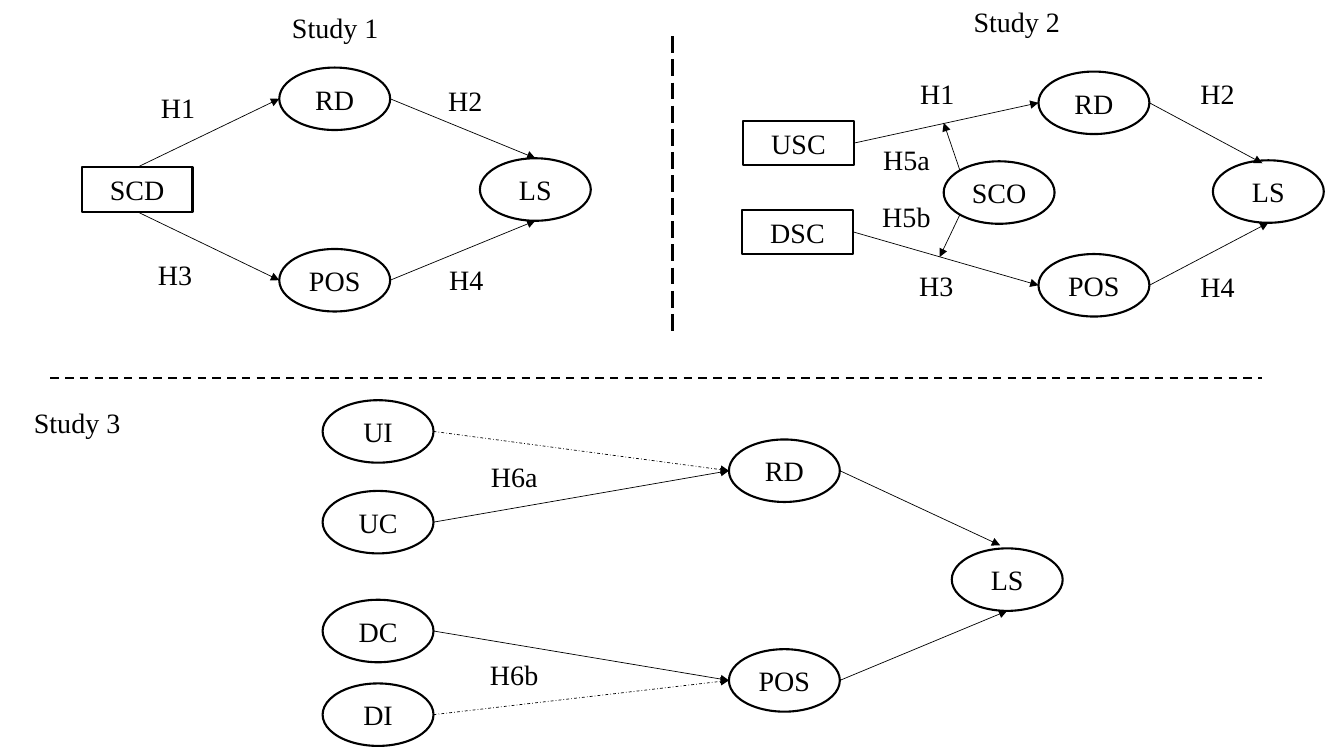
from lxml import etree
from pptx import Presentation
from pptx.dml.color import RGBColor
from pptx.enum.dml import MSO_LINE
from pptx.enum.shapes import MSO_CONNECTOR, MSO_SHAPE
from pptx.enum.text import MSO_ANCHOR, PP_ALIGN
from pptx.oxml.ns import qn
from pptx.util import Inches, Pt

RECT, OVAL = MSO_SHAPE.RECTANGLE, MSO_SHAPE.OVAL
STRAIGHT = MSO_CONNECTOR.STRAIGHT
DASH, LONG_DASH, DASH_DOT = MSO_LINE.DASH, MSO_LINE.LONG_DASH, MSO_LINE.DASH_DOT
CENTER, MIDDLE = PP_ALIGN.CENTER, MSO_ANCHOR.MIDDLE

FONT, BLACK = "Times New Roman", "000000"
NODE_WIDTH, LABEL_HEIGHT = 1.1, 0.44
HEIGHTS = {RECT: 0.44, OVAL: 0.62}

# Where a line meets a node, as fractions of its width and height
PORTS = {
    "left": (0, 0.5), "right": (1, 0.5), "top": (0.5, 0), "bottom": (0.5, 1),
    "upper left": (0.146, 0.146), "lower left": (0.146, 0.854),
}


def color(value):
    return RGBColor.from_string(value)


def write(shape, text, margin):
    frame = shape.text_frame
    frame.word_wrap = True
    frame.vertical_anchor = MIDDLE
    frame.margin_left = frame.margin_right = Inches(margin)
    frame.margin_top = frame.margin_bottom = Inches(margin / 2)
    frame.text = text
    para = frame.paragraphs[0]
    para.alignment = CENTER
    font = para.runs[0].font
    font.name, font.size = FONT, Pt(20)
    font.color.rgb = color(BLACK)


def add_node(page, text, left, top, kind=OVAL):
    shape = page.shapes.add_shape(
        kind, Inches(left), Inches(top), Inches(NODE_WIDTH), Inches(HEIGHTS[kind]))
    shape.shadow.inherit = False
    shape.fill.background()
    shape.line.color.rgb = color(BLACK)
    shape.line.width = Pt(1.5)
    write(shape, text, 0)
    return left, top, HEIGHTS[kind]


def add_label(page, text, left, top, width=0.75):
    box = page.shapes.add_textbox(
        Inches(left), Inches(top), Inches(width), Inches(LABEL_HEIGHT))
    write(box, text, 0.1)


def port(node, side):
    left, top, height = node
    across, down = PORTS[side]
    return left + across * NODE_WIDTH, top + down * height


def add_line(page, start, end, width, dash=None):
    line = page.shapes.add_connector(STRAIGHT, *(Inches(v) for v in (*start, *end)))
    line.line.color.rgb = color(BLACK)
    line.line.width = Pt(width)
    if dash is not None:
        line.line.dash_style = dash
    etree.SubElement(line._element.spPr, qn("a:effectLst"))
    return line


def add_arrow(page, start, end, dash=None):
    arrow = add_line(page, start, end, 0.5, dash)
    outline = arrow.line._get_or_add_ln()
    etree.SubElement(outline, qn("a:tailEnd"), type="triangle")


def draw_study_1(page):
    scd = add_node(page, "SCD", 0.81, 1.66, RECT)
    rd = add_node(page, "RD", 2.77, 0.67)
    pos = add_node(page, "POS", 2.77, 2.47)
    ls = add_node(page, "LS", 4.76, 1.57)
    for middle, side in ((rd, "top"), (pos, "bottom")):
        add_arrow(page, port(scd, side), port(middle, "left"))
        add_arrow(page, port(middle, "right"), port(ls, side))
    add_label(page, "Study 1", 2.7, 0.05, 1.25)
    for text, left, top in (("H1", 1.39, 0.84), ("H2", 4.24, 0.78),
                            ("H3", 1.36, 2.5), ("H4", 4.25, 2.55)):
        add_label(page, text, left, top)


def draw_study_2(page):
    sco = add_node(page, "SCO", 9.36, 1.6)
    usc = add_node(page, "USC", 7.37, 1.2, RECT)
    dsc = add_node(page, "DSC", 7.36, 2.08, RECT)
    rd = add_node(page, "RD", 10.3, 0.71)
    pos = add_node(page, "POS", 10.3, 2.52)
    ls = add_node(page, "LS", 12.03, 1.59)
    for source, middle, end in ((usc, rd, (12.52, 1.62)),
                                (dsc, pos, port(ls, "bottom"))):
        add_arrow(page, port(source, "right"), port(middle, "left"))
        add_arrow(page, port(middle, "right"), end)
    # Moderating effects of SCO
    add_arrow(page, port(sco, "upper left"), (9.36, 1.22))
    add_arrow(page, port(sco, "lower left"), (9.32, 2.55))
    add_label(page, "Study 2", 9.46, -0.01, 1.25)
    for text, left, top in (("H1", 8.92, 0.71), ("H2", 11.7, 0.71),
                            ("H3", 8.91, 2.61), ("H4", 11.7, 2.62)):
        add_label(page, text, left, top)
    for text, top in (("H5a", 1.36), ("H5b", 1.93)):
        add_label(page, text, 8.57, top, 0.84)


def draw_study_3(page):
    rd = add_node(page, "RD", 7.23, 4.36)
    pos = add_node(page, "POS", 7.23, 6.44)
    ls = add_node(page, "LS", 9.44, 5.44)
    for text, top, target, dash in (("UI", 3.97, rd, DASH_DOT), ("UC", 4.87, rd, None),
                                    ("DC", 5.95, pos, None), ("DI", 6.78, pos, DASH_DOT)):
        source = add_node(page, text, 3.2, top)
        add_arrow(page, port(source, "right"), port(target, "left"), dash)
    add_arrow(page, port(rd, "right"), (9.92, 5.41))
    add_arrow(page, port(pos, "right"), port(ls, "bottom"))
    add_label(page, "Study 3", 0.14, 3.97, 1.25)
    for text, top in (("H6a", 4.51), ("H6b", 6.47)):
        add_label(page, text, 4.68, top, 0.84)


def main():
    deck = Presentation()
    deck.slide_width, deck.slide_height = Inches(13.33), Inches(7.5)
    page = deck.slides.add_slide(deck.slide_layouts[6])

    draw_study_1(page)
    draw_study_2(page)
    draw_study_3(page)

    # Dividers between the studies
    add_line(page, (0.5, 3.75), (12.52, 3.75), 1.5, DASH)
    add_line(page, (6.67, 0.36), (6.67, 3.34), 1.5, LONG_DASH)

    deck.save("out.pptx")


if __name__ == "__main__":
    main()
